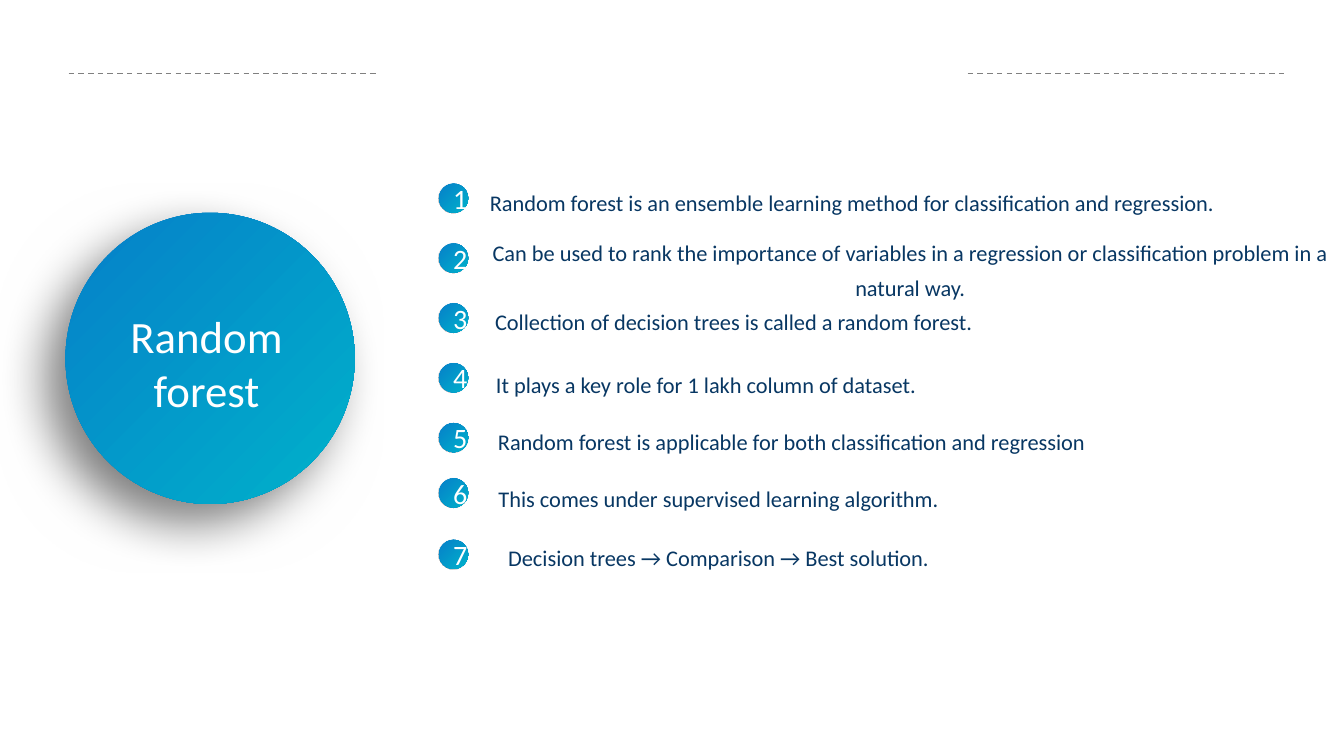
"""Build the random forest slide."""
from dataclasses import dataclass

from lxml import etree
from pptx import Presentation
from pptx.dml.color import RGBColor
from pptx.enum.dml import MSO_LINE
from pptx.enum.shapes import MSO_CONNECTOR, MSO_SHAPE
from pptx.enum.text import MSO_ANCHOR, MSO_AUTO_SIZE, PP_ALIGN
from pptx.oxml import parse_xml
from pptx.oxml.ns import nsdecls, qn
from pptx.util import Pt

DASH = MSO_LINE.DASH
STRAIGHT = MSO_CONNECTOR.STRAIGHT
DONUT, OVAL = MSO_SHAPE.DONUT, MSO_SHAPE.OVAL
MIDDLE = MSO_ANCHOR.MIDDLE
GROW = MSO_AUTO_SIZE.SHAPE_TO_FIT_TEXT
CENTER = PP_ALIGN.CENTER


@dataclass(frozen=True)
class Theme:
    """Hold the colours, font and type sizes of the slide."""
    font: str = "Calibri"
    white: str = "FFFFFF"
    navy: str = "083763"
    rule: str = "808080"
    shadow: str = "000000"
    blue: tuple = ((0, "067FC9"), (100, "00B2CA"))
    silver: tuple = ((0, "FFFFFF"), (55, "F2F2F2"), (100, "A6A6A6"))
    title_size: int = 32
    number_size: int = 20
    body_size: int = 16


THEME = Theme()
RULE_Y = 52.6
RULES = ((49, 269.3), (691.2, 918))
BADGE_LEFT, BADGE_SIZE, DISC_SIZE = 313.2, 21.6, 20.9
FIRST_BADGE_TOP, BADGE_STEP = 130.8, 42.75
LATE_BADGE_TOPS = {6: 341.3, 7: 385.2}
POINTS = (
    ("Random forest is an ensemble learning method for classification and regression.",
     (293, 126, 631.4, 30.2)),
    ("Can be used to rank the importance of variables in a regression or "
     "classification problem in a natural way.", (326.9, 161.3, 646.6, 55.4)),
    ("Collection of decision trees is called a random forest.", (223.2, 211, 601.9, 30.2)),
    ("It plays a key role for 1 lakh column of dataset.", (233.6, 255.6, 541.4, 30.2)),
    ("Random forest is applicable for both classification and regression",
     (294.8, 296.6, 541.4, 30.2)),
    ("This comes under supervised learning algorithm.", (242.6, 337, 541.4, 30.2)),
    ("Decision trees → Comparison → Best solution.", (242.6, 379.4, 541.4, 30.2)),
)


def set_all(target, values):
    """Set each named attribute on the target."""
    for name, value in values.items():
        setattr(target, name, value)


def write(tf, text, size, color, spacing=None):
    """Write one centred paragraph into a text frame."""
    p = tf.paragraphs[0]
    set_all(p, {"alignment": CENTER, "line_spacing": spacing})
    r = p.add_run()
    r.text = text
    set_all(r.font, {"name": THEME.font, "size": Pt(size)})
    r.font.color.rgb = RGBColor.from_string(color)


def add_gradient_shape(shapes, kind, box, stops, angle):
    """Add an unlined shape with a linear gradient fill."""
    sp = shapes.add_shape(kind, *map(Pt, box))
    sp.shadow.inherit = False
    sp.line.fill.background()
    sp.fill.background()
    marks = "".join(f'<a:gs pos="{at * 1000}"><a:srgbClr val="{color}"/></a:gs>'
                    for at, color in stops)
    gradient = parse_xml(
        f'<a:gradFill {nsdecls("a")} rotWithShape="1"><a:gsLst>{marks}</a:gsLst>'
        f'<a:lin ang="{angle * 60000}" scaled="0"/></a:gradFill>')
    sp_pr = sp._element.spPr
    sp_pr.replace(sp_pr.find(qn("a:noFill")), gradient)
    return sp


def add_shadow(sp, blur, distance, angle, opacity):
    """Give a shape a soft outer shadow."""
    effects = sp._element.spPr.find(qn("a:effectLst"))
    effects.append(parse_xml(
        f'<a:outerShdw {nsdecls("a")} blurRad="{Pt(blur)}" dist="{Pt(distance)}" '
        f'dir="{angle * 60000}" algn="tr" rotWithShape="0">'
        f'<a:srgbClr val="{THEME.shadow}"><a:alpha val="{opacity * 1000}"/>'
        '</a:srgbClr></a:outerShdw>'))


def add_rule(s, start, end):
    """Add a dashed horizontal rule."""
    line = s.shapes.add_connector(STRAIGHT, Pt(start), Pt(RULE_Y), Pt(end), Pt(RULE_Y))
    set_all(line.line, {"width": Pt(1), "dash_style": DASH})
    line.line.color.rgb = RGBColor.from_string(THEME.rule)
    etree.SubElement(line._element.spPr, qn("a:effectLst"))


def add_text(s, box, text, size, color, spacing=None, inset=None):
    """Add a wrapped, centred text box."""
    tf = s.shapes.add_textbox(*map(Pt, box)).text_frame
    set_all(tf, {"word_wrap": True, "auto_size": GROW})
    if inset is not None:
        sides = ("left", "top", "right", "bottom")
        set_all(tf, {f"margin_{side}": Pt(inset) for side in sides})
    write(tf, text, size, color, spacing)


def add_badge(s, number):
    """Add a numbered disc inside a silver ring."""
    top = LATE_BADGE_TOPS.get(number, FIRST_BADGE_TOP + (number - 1) * BADGE_STEP)
    shapes = s.shapes.add_group_shape().shapes
    ring_box = (BADGE_LEFT, top, BADGE_SIZE, BADGE_SIZE)
    ring = add_gradient_shape(shapes, DONUT, ring_box, THEME.silver, 135)
    ring.adjustments[0] = 0.05
    gap = (BADGE_SIZE - DISC_SIZE) / 2
    disc_box = (BADGE_LEFT + gap, top + gap, DISC_SIZE, DISC_SIZE)
    disc = add_gradient_shape(shapes, OVAL, disc_box, THEME.blue, 45)
    disc.text_frame.vertical_anchor = MIDDLE
    write(disc.text_frame, str(number), THEME.number_size, THEME.white)


def add_title(s):
    """Add the large shadowed circle and its title."""
    circle = add_gradient_shape(s.shapes, OVAL, (46.8, 152, 206.6, 208), THEME.blue, 45)
    add_shadow(circle, 35, 20, 135, 50)
    add_text(s, (72.7, 220.3, 149.8, 77.8), "Random forest",
             THEME.title_size, THEME.white, inset=0)


def main():
    """Build and save the slide."""
    prs = Presentation()
    set_all(prs, {"slide_width": Pt(960), "slide_height": Pt(540)})
    s = prs.slides.add_slide(prs.slide_layouts[6])
    for start, end in RULES:
        add_rule(s, start, end)
    add_title(s)
    for number, (text, box) in enumerate(POINTS, 1):
        add_badge(s, number)
        add_text(s, box, text, THEME.body_size, THEME.navy, spacing=1.3)
    prs.save("out.pptx")


if __name__ == "__main__":
    main()
